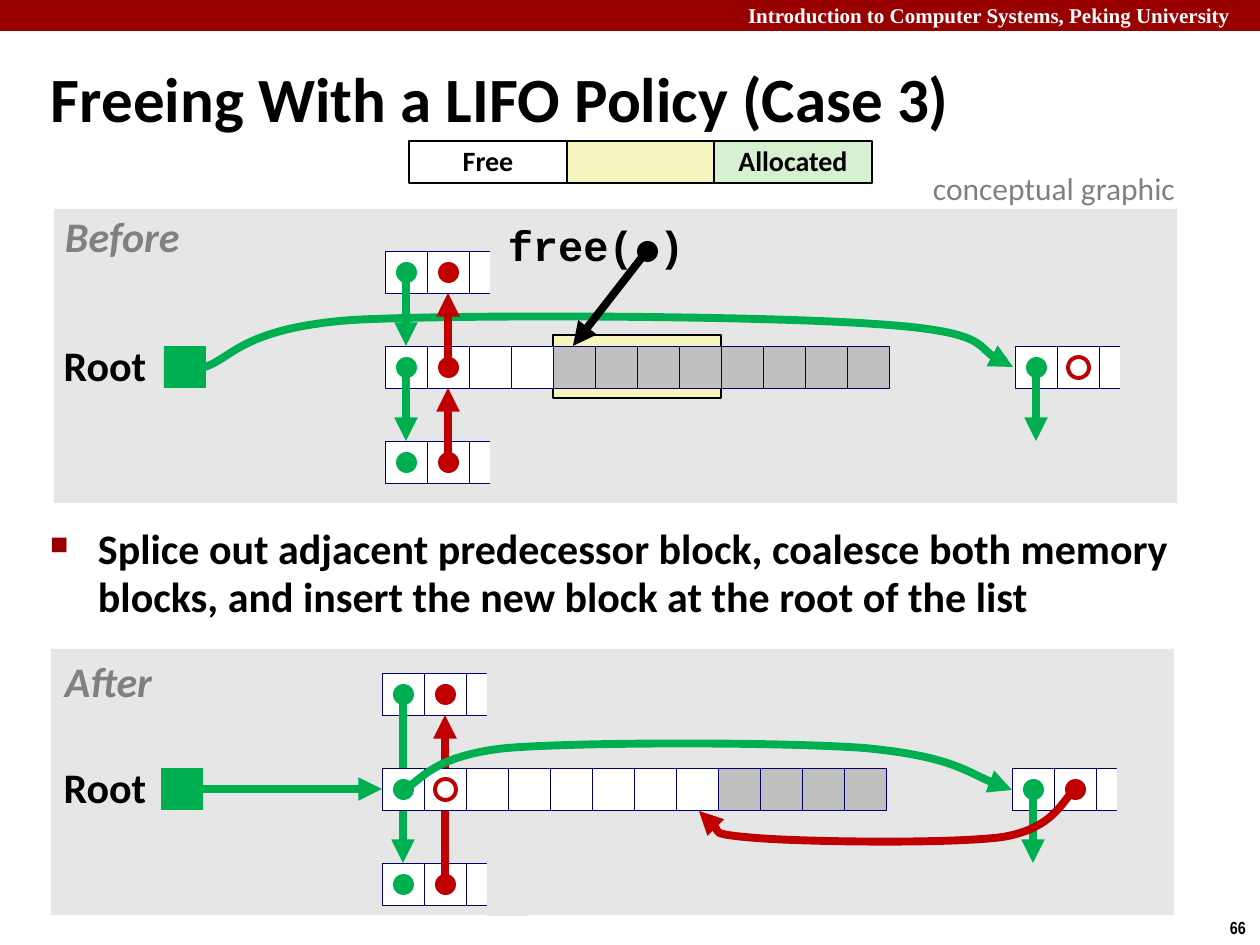
from lxml import etree
from pptx import Presentation
from pptx.dml.color import RGBColor
from pptx.enum.shapes import MSO_CONNECTOR, MSO_SHAPE
from pptx.enum.text import MSO_ANCHOR, MSO_AUTO_SIZE, PP_ALIGN
from pptx.oxml.ns import qn
from pptx.util import Emu, Pt

RECT, OVAL = MSO_SHAPE.RECTANGLE, MSO_SHAPE.OVAL
STRAIGHT = MSO_CONNECTOR.STRAIGHT
LEFT, CENTER = PP_ALIGN.LEFT, PP_ALIGN.CENTER
TOP, MIDDLE = MSO_ANCHOR.TOP, MSO_ANCHOR.MIDDLE
FIXED = MSO_AUTO_SIZE.NONE
SCALE = 914400 / 126
CELL, HALF, STEP = 42, 21, 95
COLORS = {
    "bar": "990000", "panel": "E6E6E6", "block": "F6F5BD", "used": "D5F1CF",
    "gray": "C0C0C0", "label": "808080", "navy": "000066", "green": "00B050",
    "red": "C00000", "black": "000000", "white": "FFFFFF",
}


def px(count):
    return Emu(round(count * SCALE))


def rgb(name):
    return RGBColor.from_string(COLORS[name])


class Deck:
    def __init__(self):
        self.prs = Presentation()
        self.prs.slide_width, self.prs.slide_height = px(1260), px(945)
        self.slide = self.prs.slides.add_slide(self.prs.slide_layouts[5])
        self.shapes = self.slide.shapes

    def label(self, shape, words, size, color="black", face="Calibri", bold=True,
              italic=False, align=LEFT, anchor=TOP, wrap=True, space=1.0, inset=(13, 6)):
        frame = shape.text_frame
        side, edge = map(px, inset)
        values = {"word_wrap": wrap, "auto_size": FIXED,
                  "vertical_anchor": anchor, "margin_left": side,
                  "margin_right": side, "margin_top": edge, "margin_bottom": edge}
        for key, value in values.items():
            setattr(frame, key, value)
        para = frame.paragraphs[0]
        para.alignment, para.line_spacing = align, space
        run = para.add_run()
        run.text = words
        values = {"name": face, "size": Pt(size), "bold": bold, "italic": italic}
        for key, value in values.items():
            setattr(run.font, key, value)
        run.font.color.rgb = rgb(color)
        return para

    def title(self, words, *area):
        shape = self.shapes.title
        for key, value in zip(("left", "top", "width", "height"), area):
            setattr(shape, key, px(value))
        self.label(shape, words, 36, anchor=MIDDLE, space=0.87)

    def text(self, words, area, size, **style):
        shape = self.shapes.add_textbox(*map(px, area))
        return self.label(shape, words, size, **style)

    def bullet(self, words, area):
        para = self.text(words, area, 24, space=0.95)
        para.space_before = Pt(4.8)
        props = para._p.get_or_add_pPr()
        props.set("marL", str(px(48)))
        props.set("indent", str(-px(48)))
        tint = etree.SubElement(props, qn("a:buClr"))
        etree.SubElement(tint, qn("a:srgbClr"), val=COLORS["bar"])
        etree.SubElement(props, qn("a:buSzPct"), val="60000")
        etree.SubElement(props, qn("a:buChar"), char="■")

    def box(self, area, fill=None, line=None, width=0.25, kind=RECT):
        shape = self.shapes.add_shape(kind, *map(px, area))
        shape.shadow.inherit = False
        self.paint(shape.fill, fill)
        self.paint(shape.line.fill, line)
        if line:
            shape.line.width = Pt(width)
        return shape

    def paint(self, fill, color):
        if color:
            fill.solid()
            fill.fore_color.rgb = rgb(color)
        else:
            fill.background()

    def dot(self, x, y, color, hollow=False):
        area = (x - 10, y - 10, 21, 21)
        if hollow:
            self.box(area, line=color, width=2.25, kind=OVAL)
        else:
            self.box(area, color, kind=OVAL)

    def point(self, shape, color):
        """Give a line its stroke and an arrowhead at its end."""
        self.paint(shape.line.fill, color)
        shape.line.width = Pt(4.5)
        props = shape._element.spPr
        etree.SubElement(props.find(qn("a:ln")), qn("a:tailEnd"), type="triangle")
        if props.find(qn("a:effectLst")) is None:
            etree.SubElement(props, qn("a:effectLst"))

    def arrow(self, x1, y1, x2, y2, color):
        ends = map(px, (x1, y1, x2, y2))
        self.point(self.shapes.add_connector(STRAIGHT, *ends), color)

    def curve(self, points, color):
        """Draw Bezier arcs: a start, then two handles and an end per arc."""
        spots = [(px(x), px(y)) for x, y in points]
        pen = self.shapes.build_freeform(*spots[0])
        pen.add_line_segments(spots[1:], close=False)
        shape = pen.convert_to_shape()
        shape.shadow.inherit = False
        shape.fill.background()
        for i, node in enumerate(list(shape._element.iter(qn("a:lnTo")))):
            track = node.getparent()
            if i % 3 == 0:
                arc = etree.SubElement(track, qn("a:cubicBezTo"))
            arc.append(node[0])
            track.remove(node)
        self.point(shape, color)

    def cells(self, x, y, fills):
        for i, fill in enumerate(fills):
            self.box((x + i * CELL, y, CELL, CELL), fill, "navy")

    def stub(self, x, y):
        """Draw a block cut off in the middle of its third cell."""
        self.cells(x, y, ["white"] * 3)
        self.box((x + 105, y - 10, CELL, 63), "panel")

    def panel(self, name, x, y, top, tall, head):
        self.box((x - 331, top, 1123, tall), "panel")
        self.text(name, (59, head, 130, 59), 24, color="label", italic=True,
                  wrap=False, space=0.9, inset=(6, 6))
        self.text("Root", (57, y - 7, 96, 59), 24, align=CENTER, wrap=False,
                  space=0.9, inset=(6, 6))
        self.box((x - 221, y, CELL, CELL), "green")
        for row in (y - STEP, y + STEP):
            self.stub(x, row)
        self.stub(x + 15 * CELL, y)


def before(deck):
    x, y = 385, 346
    deck.panel("Before", x, y, 209, 294, 210)
    deck.box((553, 335, 168, 63), "block", "black", 0.75)
    deck.curve([(205, 367), (231, 359), (242, 328), (353, 320),
                (465, 314), (764, 316), (874, 324),
                (984, 331), (984, 358), (1013, 367)], "green")
    deck.cells(x, y, ["white"] * 4 + ["gray"] * 8)
    mid, next_x, prev_x, last = y + HALF, x + HALF, x + 63, x + 651
    for row in (mid - STEP, mid, mid + STEP):
        deck.dot(next_x, row, "green")
        deck.dot(prev_x, row, "red")
    for row in (mid - STEP, mid):
        deck.arrow(next_x, row, next_x, row + 74, "green")
        deck.arrow(prev_x, row + STEP, prev_x, row + HALF, "red")
    deck.dot(last, mid, "green")
    deck.arrow(last, mid, last, mid + 74, "green")
    deck.dot(last + CELL, mid, "red", hollow=True)
    deck.text("free( )", (501, 219, 190, 59), 24, face="Courier New",
              align=CENTER, wrap=False, space=0.9, inset=(6, 6))
    deck.dot(647, 251, "black")
    deck.arrow(647, 251, 573, 346, "black")


def after(deck):
    x, y = 382, 768
    deck.panel("After", x, y, 649, 266, 655)
    mid, next_x, prev_x, last = y + HALF, x + HALF, x + 63, x + 651
    deck.arrow(prev_x, mid + STEP, prev_x, mid - 74, "red")
    deck.arrow(next_x, mid - STEP, next_x, mid + 74, "green")
    deck.cells(x, y, ["white"] * 8 + ["gray"] * 4)
    for row in (mid - STEP, mid, mid + STEP):
        deck.dot(next_x, row, "green")
        deck.dot(prev_x, row, "red", hollow=row == mid)
    deck.dot(last, mid, "green")
    deck.arrow(last, mid, last, mid + 74, "green")
    deck.dot(last + CELL, mid, "red")
    deck.arrow(193, mid, x, mid, "green")
    deck.curve([(403, 790), (421, 782), (430, 756), (507, 748),
                (583, 742), (780, 742), (864, 748),
                (949, 756), (982, 781), (1012, 790)], "green")
    deck.curve([(1075, 790), (1063, 798), (1056, 828), (1003, 837),
                (950, 844), (806, 842), (756, 838),
                (706, 834), (711, 818), (699, 811)], "red")


def main():
    deck = Deck()
    deck.box((0, 0, 1260, 31), "bar")
    deck.text("Introduction to Computer Systems, Peking University", (735, 0, 525, 31),
              12, color="white", face="Times New Roman", anchor=MIDDLE, inset=(13, 0))
    deck.text("66", (1217, 911, 43, 34), 10, face="Arial Narrow", wrap=False)
    deck.title("Freeing With a LIFO Policy (Case 3)", 38, 49, 1201, 108)
    before(deck)
    deck.bullet("Splice out adjacent predecessor block, coalesce both memory blocks, "
                "and insert the new block at the root of the list", (37, 520, 1145, 108))
    after(deck)
    deck.text("conceptual graphic", (920, 163, 273, 50), 18, color="label",
              bold=False, wrap=False)
    deck.box((558, 141, 158, CELL), "block", "black", 1)
    for words, x, fill in (("Allocated", 714, "used"), ("Free", 409, "white")):
        shape = deck.box((x, 141, 158, CELL), fill, "black", 1)
        deck.label(shape, words, 16, align=CENTER, anchor=MIDDLE, wrap=False, space=0.98)
    deck.prs.save("out.pptx")


if __name__ == "__main__":
    main()
